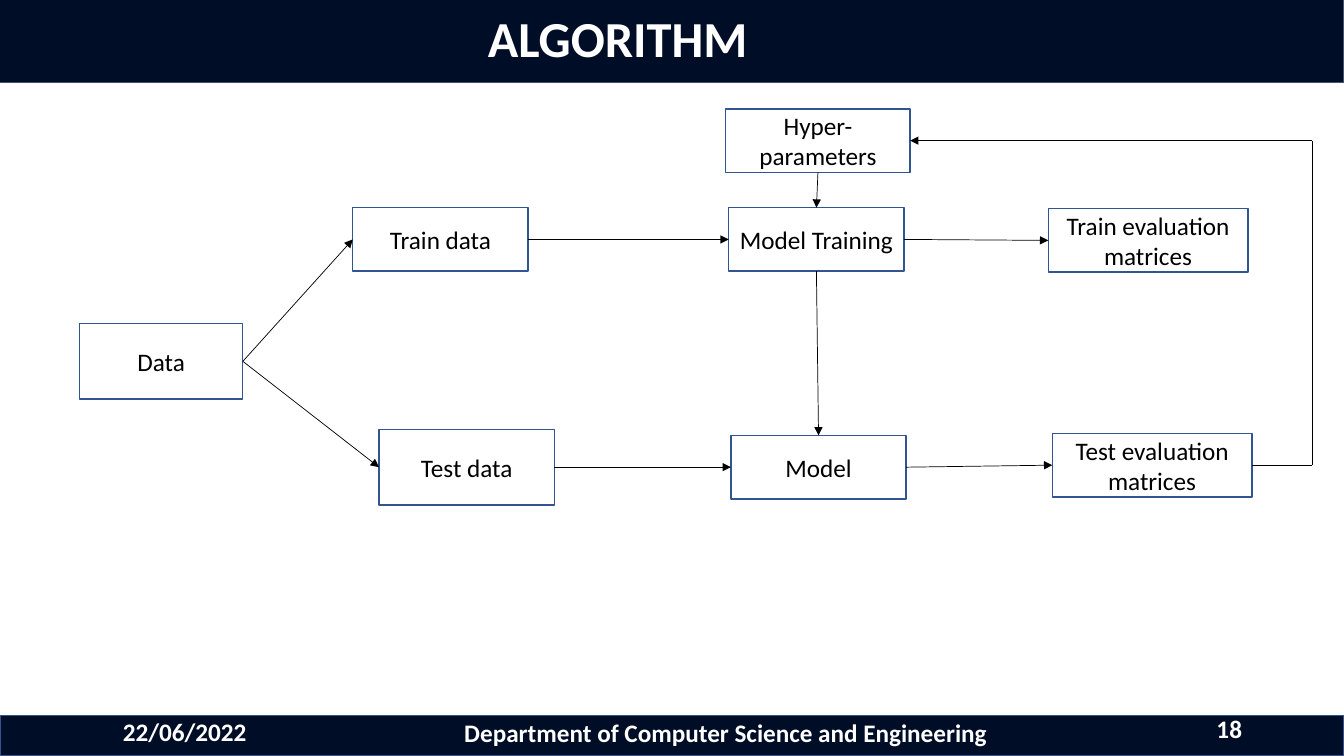
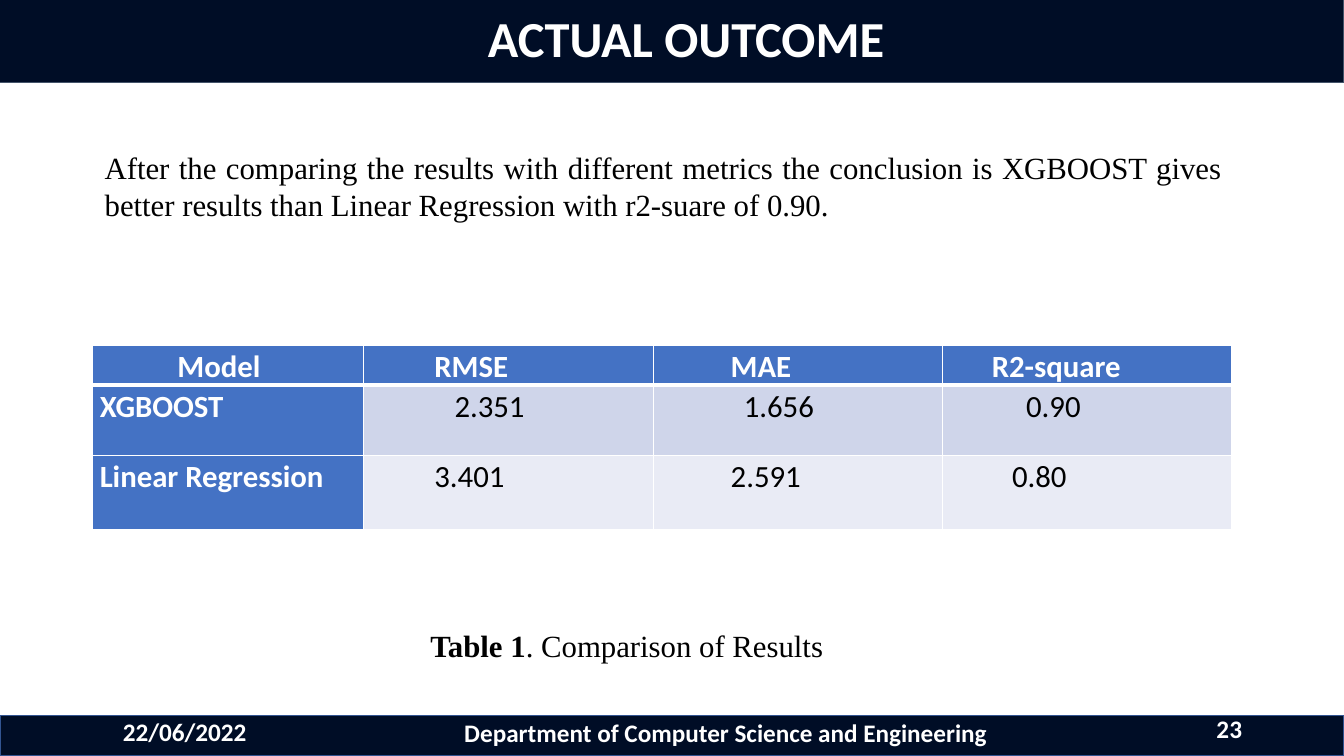
from lxml import etree
from pptx import Presentation
from pptx.dml.color import RGBColor
from pptx.enum.shapes import MSO_CONNECTOR, MSO_SHAPE
from pptx.enum.text import MSO_ANCHOR, PP_ALIGN
from pptx.oxml.ns import qn
from pptx.util import Inches, Pt

RECT, STRAIGHT = MSO_SHAPE.RECTANGLE, MSO_CONNECTOR.STRAIGHT
MIDDLE, TOP_ANCHOR = MSO_ANCHOR.MIDDLE, MSO_ANCHOR.TOP
LEFT, CENTER, RIGHT, JUSTIFY = PP_ALIGN.LEFT, PP_ALIGN.CENTER, PP_ALIGN.RIGHT, PP_ALIGN.JUSTIFY
SIDE_TOP, SIDE_LEFT, SIDE_BOTTOM, SIDE_RIGHT = range(4)

NAVY, WHITE, BLACK = "000D26", "FFFFFF", "000000"
BOX_EDGE, TITLE_EDGE = "325491", "44546A"
HEADER_BLUE, ROW_TINTS = "4472C4", ["CFD5EA", "E9EBF5"]
SANS, SERIF = "Calibri", "Times New Roman"
rgb = RGBColor.from_string

prs = Presentation()
prs.slide_width, prs.slide_height = Inches(13.33), Inches(7.5)
# All places below are percentages of the slide's width and height.
U, V = prs.slide_width / 100, prs.slide_height / 100


def box(s, place, runs=(), size=18, color=BLACK, font=SANS, align=CENTER,
        anchor=MIDDLE, fill=None, edge=None, weight=1):
    """Add a rectangle, or a text box without fill; runs are (text, bold) pairs."""
    x, y, w, h = place
    at = int(x * U), int(y * V), int(w * U), int(h * V)
    if fill:
        sp = s.shapes.add_shape(RECT, *at)
        sp.shadow.inherit = False
        sp.fill.solid()
        sp.fill.fore_color.rgb = rgb(fill)
        sp.line.color.rgb = rgb(edge)
        sp.line.width = Pt(weight)
    else:
        sp = s.shapes.add_textbox(*at)
    tf = sp.text_frame
    tf.word_wrap = True
    tf.vertical_anchor = anchor
    p = tf.paragraphs[0]
    p.alignment = align
    for text, bold in runs:
        r = p.add_run()
        r.text = text
        r.font.name, r.font.size, r.font.bold = font, Pt(size), bold
        r.font.color.rgb = rgb(color)
    return sp


def link(s, begin, end, arrow=True):
    """Draw a line; each end is (shape, side) or an (x, y) point in percent."""
    c = s.shapes.add_connector(STRAIGHT, 0, 0, 0, 0)
    if isinstance(begin[0], (int, float)):
        c.begin_x, c.begin_y = int(begin[0] * U), int(begin[1] * V)
    else:
        c.begin_connect(*begin)
    if isinstance(end[0], (int, float)):
        c.end_x, c.end_y = int(end[0] * U), int(end[1] * V)
    else:
        c.end_connect(*end)
    c.line.color.rgb = rgb(BLACK)
    c.line.width = Pt(0.5)
    if arrow:
        etree.SubElement(c.line._get_or_add_ln(), qn("a:tailEnd"), type="triangle")
    etree.SubElement(c._element.spPr, qn("a:effectLst"))


# Bands, title and footer of every slide
slides = []
for title, number in [("ALGORITHM", "18"), ("ACTUAL OUTCOME", "23")]:
    s = prs.slides.add_slide(prs.slide_layouts[6])
    slides.append(s)
    box(s, (0, 94.67, 100, 5.33), fill=NAVY, edge=BOX_EDGE)
    sp = box(s, (0, 0, 100, 10.93), [(title, True)], 36, WHITE, align=LEFT,
             fill=NAVY, edge=TITLE_EDGE, weight=0.75)
    sp.text_frame.margin_left = int(36.3 * U)
    sp.text_frame.paragraphs[0].line_spacing = 0.9
    for text, place, align in [
        ("22/06/2022", (8.4, 95.6, 21, 2.4), LEFT),
        ("Department of Computer Science and Engineering", (33.15, 92.67, 41.7, 8.4), CENTER),
        (number, (72.45, 94.67, 20.7, 3.33), RIGHT),
    ]:
        box(s, place, [(text, True)], color=WHITE, align=align)
algorithm, outcome = slides

# Flow of the algorithm
steps = {
    text: box(algorithm, place, [(text, False)], fill=WHITE, edge=BOX_EDGE)
    for text, place in [
        ("Data", (5.92, 42.8, 12.15, 10)),
        ("Train data", (26.25, 27.47, 13.05, 8.4)),
        ("Test data", (28.2, 56.8, 13.05, 10)),
        ("Hyper-parameters", (54, 14.4, 13.72, 8.4)),
        ("Model Training", (54.22, 27.47, 13.05, 8.4)),
        ("Model", (54.38, 57.6, 13.05, 8.4)),
        ("Train evaluation matrices", (78, 27.6, 14.85, 8.4)),
        ("Test evaluation matrices", (78.3, 57.33, 14.85, 8.4)),
    ]
}
for start, end in [
    ("Data", "Train data"),
    ("Data", "Test data"),
    ("Train data", "Model Training"),
    ("Test data", "Model"),
    ("Model Training", "Train evaluation matrices"),
    ("Model", "Test evaluation matrices"),
]:
    link(algorithm, (steps[start], SIDE_RIGHT), (steps[end], SIDE_LEFT))
for start, end in [("Hyper-parameters", "Model Training"), ("Model Training", "Model")]:
    link(algorithm, (steps[start], SIDE_BOTTOM), (steps[end], SIDE_TOP))

# Feedback from the test evaluation to the hyper-parameters
low, high = (97.65, 61.53), (97.65, 18.6)
link(algorithm, (steps["Test evaluation matrices"], SIDE_RIGHT), low, arrow=False)
link(algorithm, low, high, arrow=False)
link(algorithm, high, (steps["Hyper-parameters"], SIDE_RIGHT))

# Comparison table: each cell is its text and its indent in inches
rows = [
    [("Model", 0.77), ("RMSE", 0.63), ("MAE", 0.7), ("R2-square", 0.42)],
    [("XGBOOST", 0), ("2.351", 0.83), ("1.656", 0.83), ("0.90", 0.76)],
    [("Linear Regression", 0), ("3.401", 0.63), ("2.591", 0.7), ("0.80", 0.62)],
]
col_widths, row_heights = [20.17] + [21.53] * 3, [5.2, 9.33, 9.73]
table = outcome.shapes.add_table(
    len(rows), len(col_widths), int(6.9 * U), int(45.73 * V),
    int(sum(col_widths) * U), int(sum(row_heights) * V)).table
for column, width in zip(table.columns, col_widths):
    column.width = int(width * U)
for i, row in enumerate(rows):
    table.rows[i].height = int(row_heights[i] * V)
    for j, (text, indent) in enumerate(row):
        cell = table.cell(i, j)
        heading = i == 0 or j == 0
        cell.margin_left, cell.margin_right = Inches(0.07 + indent), Inches(0.07)
        cell.margin_top = cell.margin_bottom = 0
        tcPr = cell._tc.get_or_add_tcPr()
        for side in "LRTB":
            thick = (i, side) in [(0, "B"), (1, "T")]
            ln = etree.SubElement(tcPr, qn(f"a:ln{side}"), w=str(Pt(3 if thick else 1)))
            etree.SubElement(etree.SubElement(ln, qn("a:solidFill")), qn("a:srgbClr"), val=WHITE)
        cell.fill.solid()
        cell.fill.fore_color.rgb = rgb(HEADER_BLUE if heading else ROW_TINTS[i - 1])
        cell.text_frame.text = text
        p = cell.text_frame.paragraphs[0]
        p.line_spacing, p.space_after = 1.07, Pt(8)
        font = p.runs[0].font
        font.name, font.size, font.bold = SANS, Pt(22), heading
        font.color.rgb = rgb(WHITE if heading else BLACK)

# Caption and conclusion
box(outcome, (31.28, 82.27, 34.8, 6.27),
    [("Table 1", True), (". Comparison of Results", False)], 22, font=SERIF, align=JUSTIFY)
box(outcome, (7.05, 19.07, 84.6, 26),
    [("After the comparing the results with different metrics the conclusion is XGBOOST gives "
      "better results than Linear Regression with r2-suare of 0.90.", False)],
    22, font=SERIF, align=JUSTIFY, anchor=TOP_ANCHOR)

prs.save("out.pptx")
